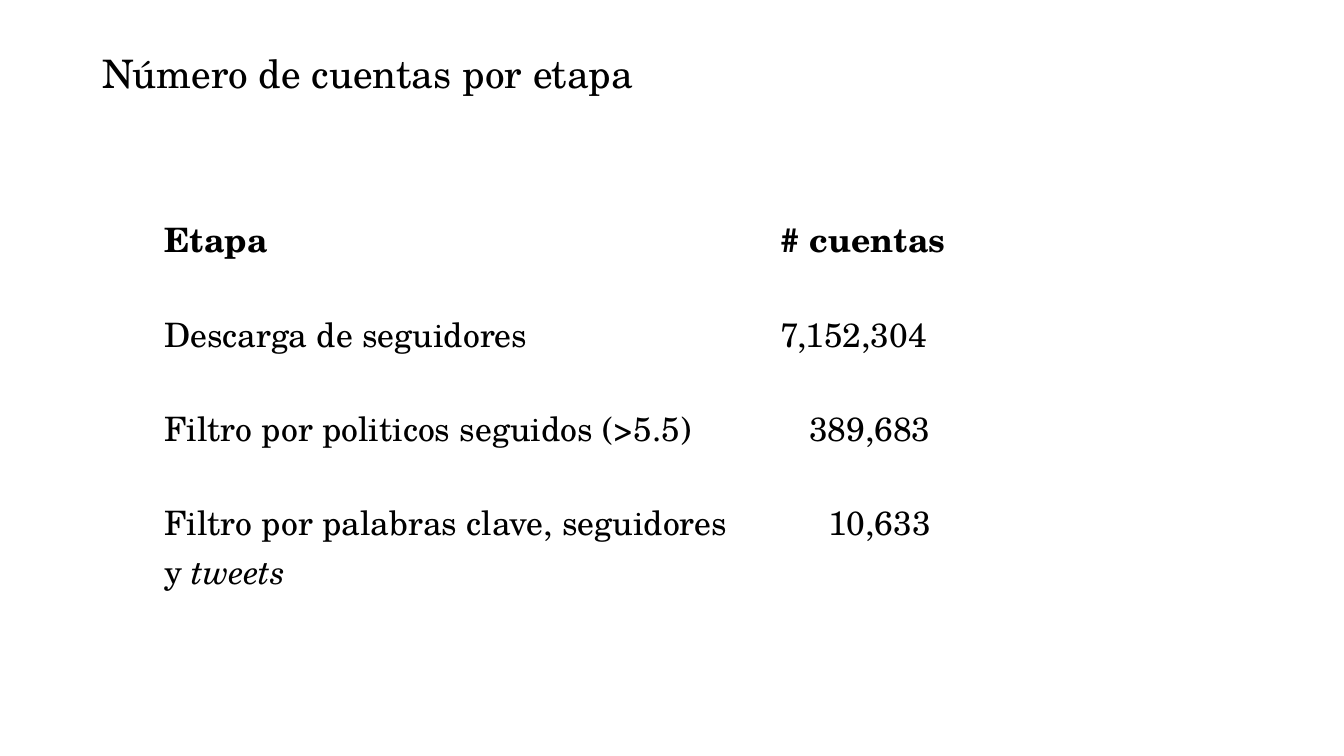
from pptx import Presentation
from pptx.dml.color import RGBColor
from pptx.enum.text import MSO_ANCHOR, PP_ALIGN
from pptx.util import Cm, Pt

TEXT = {"name": "TeX Gyre Schola", "bold": False, "italic": False}
INSET = 0.56
STAGES = [
    ([("Etapa", {"bold": True})], [("# cuentas", {"bold": True})], 0),
    ([("Descarga de seguidores", {})], [("7,152,304", {})], 0),
    ([("Filtro por politicos seguidos (>5.5)", {})], [("389,683", {})], 0.71),
    ([("Filtro por palabras clave, seguidores y ", {}), ("tweets", {"italic": True})],
     [("10,633", {})], 1.19),
]


def color(hex_value):
    """Return the colour for a hex string."""
    return RGBColor.from_string(hex_value)


def set_all(target, values):
    """Set every attribute in values on target."""
    for attribute, value in values.items():
        setattr(target, attribute, value)


def write(paragraph, pieces, size):
    """Write formatted pieces of text into a paragraph."""
    for words, emphasis in pieces:
        run = paragraph.add_run()
        run.text = words
        set_all(run.font, {**TEXT, "size": Pt(size), **emphasis})
        run.font.color.rgb = color("000000")


def add_heading(slide, words):
    """Place and format the slide title."""
    heading = slide.shapes.title
    set_all(heading, {"left": Cm(2.33), "top": Cm(0.94),
                      "width": Cm(29.21), "height": Cm(1.96)})
    set_all(heading.text_frame, {"vertical_anchor": MSO_ANCHOR.MIDDLE, "word_wrap": True})
    paragraph = heading.text_frame.paragraphs[0]
    set_all(paragraph, {"alignment": PP_ALIGN.LEFT, "line_spacing": 0.9})
    write(paragraph, [(words, {})], 28)


def fill_cell(cell, pieces, indent=0):
    """Write a plain table cell, indented from the left."""
    margins = {f"margin_{side}": Cm(INSET) for side in ("left", "right", "top", "bottom")}
    set_all(cell, {**margins, "margin_left": Cm(INSET + indent)})
    cell.fill.background()
    write(cell.text_frame.paragraphs[0], pieces, 24)


def add_stage_table(slide):
    """Add the table of accounts per stage."""
    stages = slide.shapes.add_table(len(STAGES), 2, Cm(3.58), Cm(4.8),
                                    Cm(26.72), Cm(9.48)).table
    set_all(stages, {"first_row": False, "horz_banding": False})
    for column, width in zip(stages.columns, (15.54, 11.18)):
        column.width = Cm(width)
    for row, (stage, count, indent) in zip(stages.rows, STAGES):
        row.height = Cm(2.37)
        fill_cell(row.cells[0], stage)
        fill_cell(row.cells[1], count, indent)


def main():
    """Build and save the slide."""
    deck = Presentation()
    set_all(deck, {"slide_width": Cm(33.87), "slide_height": Cm(19.05)})
    slide = deck.slides.add_slide(deck.slide_layouts[5])
    slide.background.fill.solid()
    slide.background.fill.fore_color.rgb = color("FFFFFF")
    add_stage_table(slide)
    add_heading(slide, "Número de cuentas por etapa")
    deck.save("out.pptx")


if __name__ == "__main__":
    main()
